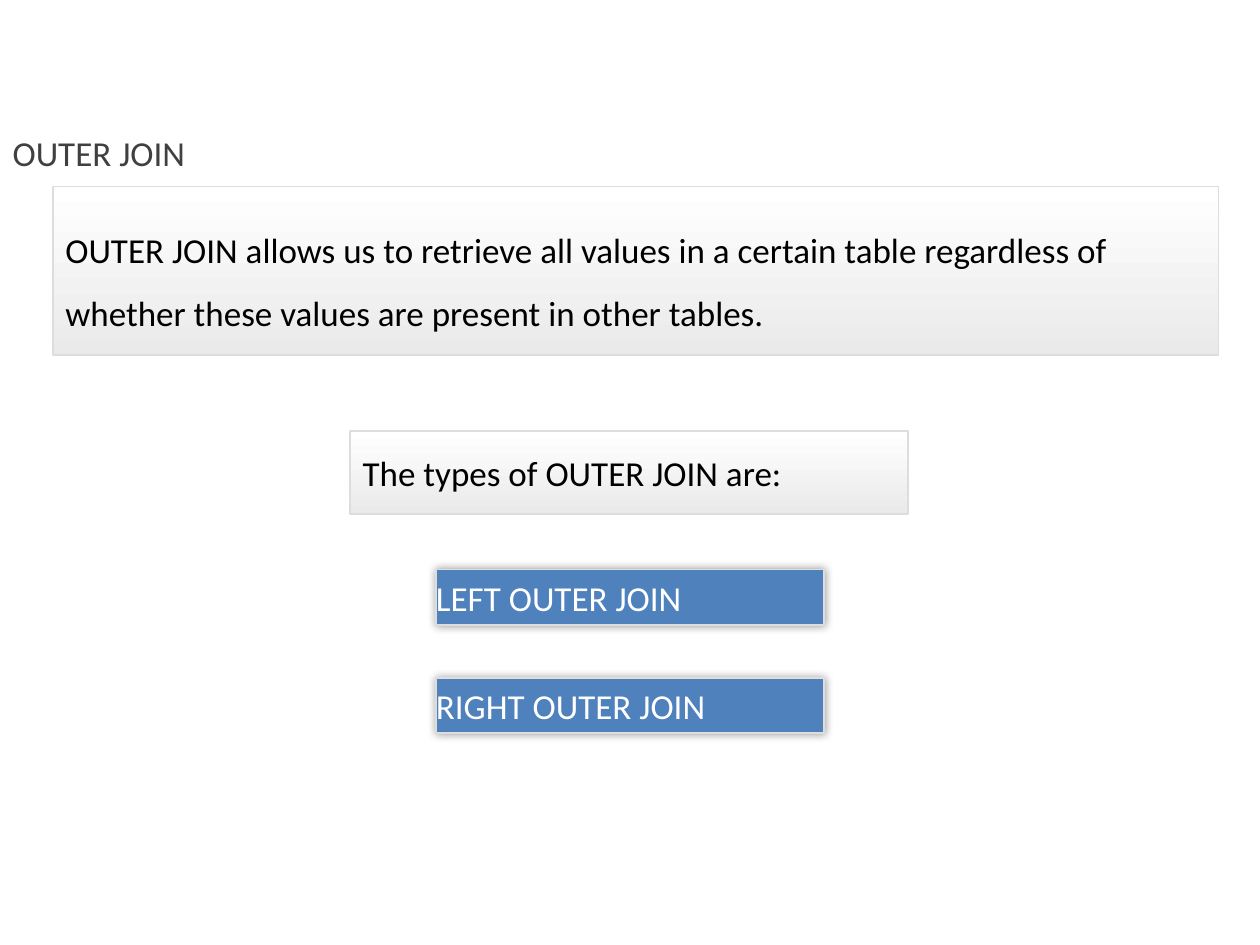
from pptx import Presentation
from pptx.dml.color import RGBColor
from pptx.enum.shapes import MSO_SHAPE as Shape
from pptx.enum.text import MSO_ANCHOR as Anchor, PP_ALIGN as Align
from pptx.oxml import parse_xml
from pptx.oxml.ns import nsdecls, qn
from pptx.util import Inches, Pt

FONT = "Calibri"
TITLE_GREY = RGBColor(0x40, 0x40, 0x40)
BORDER_GREY = RGBColor(0xDD, 0xDD, 0xDD)
PANEL_GREY = RGBColor(0xEA, 0xEA, 0xEA)
BLUE = RGBColor(0x4F, 0x81, 0xBD)
WHITE = RGBColor(0xFF, 0xFF, 0xFF)
BLACK = RGBColor(0, 0, 0)


def write(frame, text, color, line_spacing=1.0):
    frame.word_wrap = True
    para = frame.paragraphs[0]
    para.text = text
    para.alignment = Align.LEFT
    para.line_spacing = line_spacing
    para.font.name = FONT
    para.font.size = Pt(20)
    para.font.color.rgb = color


def add_title(page, left, top, width, height, text):
    title = page.shapes.title
    title.left, title.top, title.width, title.height = left, top, width, height
    title.text_frame.vertical_anchor = Anchor.TOP
    write(title.text_frame, text, TITLE_GREY, 1.5)


def add_box(page, left, top, width, height, side_margin):
    box = page.shapes.add_shape(Shape.RECTANGLE, left, top, width, height)
    box.shadow.inherit = False
    box.line.color.rgb = BORDER_GREY
    box.line.width = Pt(1)
    frame = box.text_frame
    frame.vertical_anchor = Anchor.MIDDLE
    frame.margin_left = frame.margin_right = side_margin
    frame.margin_top = frame.margin_bottom = 0
    return box


def add_panel(page, left, top, width, height, text, line_spacing=1.0):
    panel = add_box(page, left, top, width, height, Inches(0.1))
    panel.fill.gradient()
    panel.fill.gradient_angle = 270
    for stop, position, color in zip(panel.fill.gradient_stops, (0, 1), (WHITE, PANEL_GREY)):
        stop.position = position
        stop.color.rgb = color
    write(panel.text_frame, text, BLACK, line_spacing)


def add_join_type(page, left, top, width, height, text):
    bar = add_box(page, left, top, width, height, 0)
    bar.fill.solid()
    bar.fill.fore_color.rgb = BLUE
    effects = bar.fill._xPr.find(qn("a:effectLst"))
    effects.append(parse_xml(
        f'<a:outerShdw {nsdecls("a")} blurRad="{Pt(5)}" dist="0" dir="0" algn="ctr" rotWithShape="0">'
        '<a:srgbClr val="000000"><a:alpha val="40000"/></a:srgbClr></a:outerShdw>'))
    write(bar.text_frame, text, WHITE)


def main():
    deck = Presentation()
    deck.slide_width, deck.slide_height = Inches(10), Inches(7.5)
    page = deck.slides.add_slide(deck.slide_layouts[5])
    add_title(page, 0, Inches(0.83), Inches(7.09), Inches(0.61), "OUTER JOIN")
    add_panel(page, Inches(0.42), Inches(1.48), Inches(9.25), Inches(1.34),
              "OUTER JOIN allows us to retrieve all values in a certain table regardless of "
              "whether these values are present in other tables.", 1.5)
    add_panel(page, Inches(2.78), Inches(3.42), Inches(4.43), Inches(0.66),
              "The types of OUTER JOIN are:")
    for row, side in enumerate(("LEFT", "RIGHT")):
        add_join_type(page, Inches(3.46), Inches(4.52 + 0.86 * row),
                      Inches(3.08), Inches(0.44), f"{side} OUTER JOIN")
    deck.save("out.pptx")


if __name__ == "__main__":
    main()
